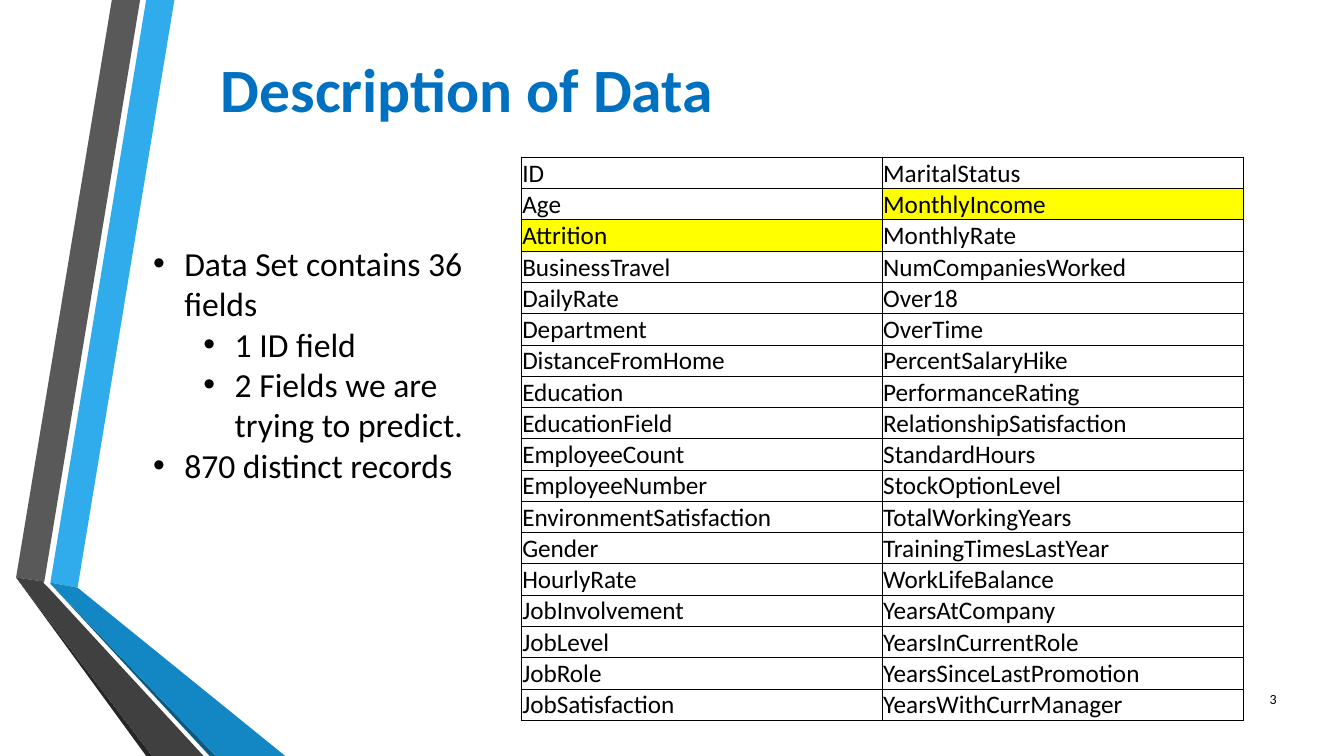
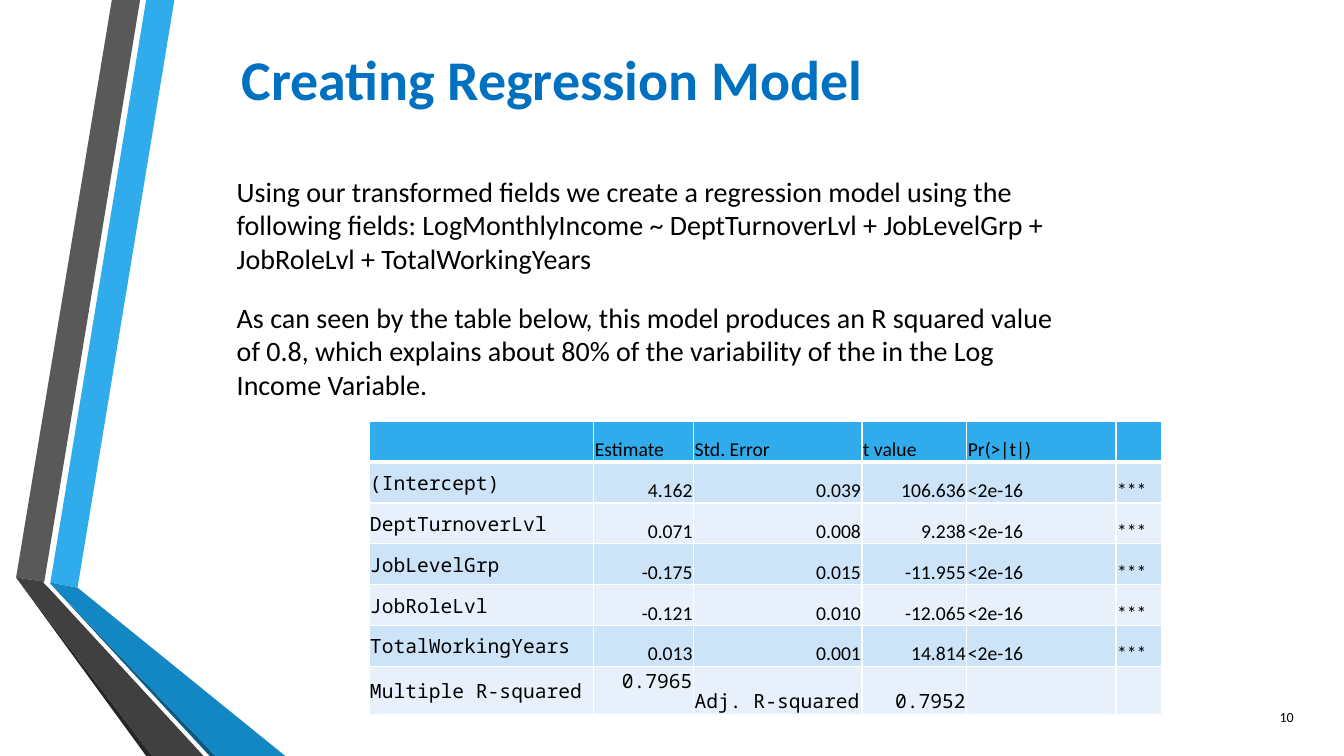
from pptx import Presentation
from pptx.dml.color import RGBColor
from pptx.enum.text import MSO_ANCHOR, PP_ALIGN
from pptx.oxml.ns import qn
from pptx.util import Inches, Pt
from lxml.etree import SubElement

BLACK = RGBColor(0x00, 0x00, 0x00)
WHITE = RGBColor(0xFF, 0xFF, 0xFF)
TITLE_BLUE = RGBColor(0x00, 0x70, 0xC0)
SKY = RGBColor(0x30, 0xAC, 0xEC)
MID_BLUE = RGBColor(0x12, 0x87, 0xC3)
DEEP_BLUE = RGBColor(0x0C, 0x5A, 0x82)
GRAY = RGBColor(0x59, 0x59, 0x59)
DARK_GRAY = RGBColor(0x40, 0x40, 0x40)
CHARCOAL = RGBColor(0x26, 0x26, 0x26)
YELLOW = RGBColor(0xFF, 0xFF, 0x00)
ROW_TINTS = (RGBColor(0xCD, 0xE3, 0xF8), RGBColor(0xE8, 0xF1, 0xFB))

SANS = "Calibri"
MONO = "Noto Sans Mono"

RIBBONS = [
    (SKY, [(0.5, 5.78), (0.77, 5.83), (1.73, 0), (1.45, 0)]),
    (GRAY, [(1.39, 0), (1.11, 0), (0.16, 5.73), (0.44, 5.77)]),
    (CHARCOAL, [(0.16, 5.73), (1.45, 7.5), (1.51, 7.5)]),
    (DEEP_BLUE, [(0.5, 5.79), (2.08, 7.5), (2.14, 7.5)]),
    (MID_BLUE, [(0.5, 5.79), (2.14, 7.5), (2.83, 7.5), (0.77, 5.83), (0.5, 5.78)]),
    (DARK_GRAY, [(2.02, 7.5), (0.48, 5.83), (0.43, 5.78), (0.44, 5.77),
                 (0.16, 5.73), (1.51, 7.5)]),
]

DATA_FIELDS = [
    ("ID", "MaritalStatus"),
    ("Age", "MonthlyIncome"),
    ("Attrition", "MonthlyRate"),
    ("BusinessTravel", "NumCompaniesWorked"),
    ("DailyRate", "Over18"),
    ("Department", "OverTime"),
    ("DistanceFromHome", "PercentSalaryHike"),
    ("Education", "PerformanceRating"),
    ("EducationField", "RelationshipSatisfaction"),
    ("EmployeeCount", "StandardHours"),
    ("EmployeeNumber", "StockOptionLevel"),
    ("EnvironmentSatisfaction", "TotalWorkingYears"),
    ("Gender", "TrainingTimesLastYear"),
    ("HourlyRate", "WorkLifeBalance"),
    ("JobInvolvement", "YearsAtCompany"),
    ("JobLevel", "YearsInCurrentRole"),
    ("JobRole", "YearsSinceLastPromotion"),
    ("JobSatisfaction", "YearsWithCurrManager"),
]
PREDICTED_FIELDS = ("Attrition", "MonthlyIncome")

DATA_SUMMARY = [
    ("Data Set contains 36 fields", 0),
    ("1 ID field", 1),
    ("2 Fields we are trying to predict.", 1),
    ("870 distinct records", 0),
]

MODEL_NOTES = [
    (1.68, "Using our transformed fields we create a regression model using the "
           "following fields: LogMonthlyIncome ~ DeptTurnoverLvl + JobLevelGrp + "
           "JobRoleLvl + TotalWorkingYears"),
    (2.93, "As can seen by the table below, this model produces an R squared value "
           "of 0.8, which explains about 80% of the variability of the in the Log "
           "Income Variable."),
]

COEFFICIENTS = [
    ("", "Estimate", "Std. Error", "t value", "Pr(>|t|)", ""),
    ("(Intercept)", "4.162", "0.039", "106.636", "<2e-16", "***"),
    ("DeptTurnoverLvl", "0.071", "0.008", "9.238", "<2e-16", "***"),
    ("JobLevelGrp", "-0.175", "0.015", "-11.955", "<2e-16", "***"),
    ("JobRoleLvl", "-0.121", "0.010", "-12.065", "<2e-16", "***"),
    ("TotalWorkingYears", "0.013", "0.001", "14.814", "<2e-16", "***"),
    ("Multiple R-squared", "0.7965", "Adj. R-squared", "0.7952", "", ""),
]
COEFFICIENT_WIDTHS = [2.23, 0.99, 1.67, 1.04, 1.48, 0.45]


def style_font(paragraph, size, color=BLACK, name=SANS, bold=False):
    font = paragraph.font
    font.size = Pt(size)
    font.name = name
    font.bold = bold
    font.color.rgb = color


def add_text(slide, box, text, size, color=BLACK, bold=False,
             align=PP_ALIGN.LEFT, anchor=MSO_ANCHOR.TOP):
    frame = slide.shapes.add_textbox(*map(Inches, box)).text_frame
    frame.word_wrap = True
    frame.vertical_anchor = anchor
    paragraph = frame.paragraphs[0]
    paragraph.text = text
    paragraph.alignment = align
    style_font(paragraph, size, color, bold=bold)


def add_bullets(slide, box, items, size):
    frame = slide.shapes.add_textbox(*map(Inches, box)).text_frame
    frame.word_wrap = True
    for index, (text, level) in enumerate(items):
        paragraph = frame.add_paragraph() if index else frame.paragraphs[0]
        paragraph.text = text
        paragraph.level = level
        style_font(paragraph, size)
        properties = paragraph._p.get_or_add_pPr()
        properties.set("marL", str(Inches(0.31 + 0.5 * level)))
        properties.set("indent", str(Inches(-0.31)))
        SubElement(properties, qn("a:buFont"), typeface="Arial")
        SubElement(properties, qn("a:buChar"), char="\u2022")


def add_ribbons(slide):
    ribbons = slide.shapes.add_group_shape().shapes
    for color, corners in RIBBONS:
        points = [(Inches(x), Inches(y)) for x, y in corners]
        builder = ribbons.build_freeform(*points[0])
        builder.add_line_segments(points[1:], close=True)
        ribbon = builder.convert_to_shape()
        ribbon.shadow.inherit = False
        ribbon.fill.solid()
        ribbon.fill.fore_color.rgb = color
        ribbon.line.fill.background()


def add_base_slide(deck, title, title_box, title_size, number, number_corner):
    slide = deck.slides.add_slide(deck.slide_layouts[6])
    add_ribbons(slide)
    add_text(slide, title_box, title, title_size, TITLE_BLUE, True,
             PP_ALIGN.CENTER, MSO_ANCHOR.MIDDLE)
    add_text(slide, (*number_corner, 0.84, 0.4), number, 10,
             align=PP_ALIGN.RIGHT, anchor=MSO_ANCHOR.MIDDLE)
    return slide


def add_grid(slide, corner, widths, heights):
    left, top = map(Inches, corner)
    table = slide.shapes.add_table(len(heights), len(widths), left, top,
                                   Inches(sum(widths)), sum(heights)).table
    table.first_row = False
    table.horz_banding = False
    for column, width in zip(table.columns, widths):
        column.width = Inches(width)
    for row, height in zip(table.rows, heights):
        row.height = height
    return table


def set_borders(cell, color, left, right, top, bottom):
    properties = cell._tc.get_or_add_tcPr()
    for side, width in zip("LRTB", (left, right, top, bottom)):
        border = SubElement(properties, qn(f"a:ln{side}"), w=str(Pt(width)))
        solid = SubElement(border, qn("a:solidFill"))
        SubElement(solid, qn("a:srgbClr"), val=str(color))


def fill_cell(cell, text, size, color=None, name=SANS,
              align=PP_ALIGN.LEFT, anchor=MSO_ANCHOR.BOTTOM):
    cell.margin_left = cell.margin_right = cell.margin_top = Inches(0.01)
    cell.margin_bottom = 0
    cell.vertical_anchor = anchor
    if color is None:
        cell.fill.background()
    else:
        cell.fill.solid()
        cell.fill.fore_color.rgb = color
    paragraph = cell.text_frame.paragraphs[0]
    paragraph.text = text
    paragraph.alignment = align
    style_font(paragraph, size, name=name)


def add_field_table(slide):
    last_row = len(DATA_FIELDS) - 1
    table = add_grid(slide, (5.17, 1.56), [3.58, 3.58],
                     [Inches(0.31)] * len(DATA_FIELDS))
    for r, fields in enumerate(DATA_FIELDS):
        for c, field in enumerate(fields):
            cell = table.cell(r, c)
            at_edges = (c == 0, c == 1, r == 0, r == last_row)
            set_borders(cell, BLACK, *(1 if edge else 0.5 for edge in at_edges))
            fill_cell(cell, field, 18, YELLOW if field in PREDICTED_FIELDS else None)


def add_coefficient_table(slide):
    last_row = len(COEFFICIENTS) - 1
    heights = [Inches(2.43) // last_row] * last_row + [Inches(0.48)]
    table = add_grid(slide, (3.66, 4.18), COEFFICIENT_WIDTHS, heights)
    for r, values in enumerate(COEFFICIENTS):
        for c, value in enumerate(values):
            cell = table.cell(r, c)
            set_borders(cell, WHITE, 1, 1, 3 if r == 1 else 1, 3 if r == 0 else 1)
            is_number = r > 0 and value.lstrip("-").replace(".", "").isdigit()
            anchor = MSO_ANCHOR.MIDDLE if c == 0 else MSO_ANCHOR.BOTTOM
            if (r, c) == (last_row, 1):
                anchor = MSO_ANCHOR.TOP
            fill_cell(cell, value, 14,
                      color=ROW_TINTS[(r - 1) % 2] if r else SKY,
                      name=MONO if c == 0 or r == last_row else SANS,
                      align=PP_ALIGN.RIGHT if is_number else PP_ALIGN.LEFT,
                      anchor=anchor)


def main():
    deck = Presentation()
    deck.slide_width = Inches(13.33)
    deck.slide_height = Inches(7.5)

    data_slide = add_base_slide(deck, "Description of Data", (-1.03, 0, 11.33, 1.75),
                                44, "3", (11.92, 6.73))
    add_field_table(data_slide)
    add_bullets(data_slide, (1.42, 2.36, 3.46, 2.83), DATA_SUMMARY, 24)

    model_slide = add_base_slide(deck, "Creating Regression Model",
                                 (1.75, 0.38, 7.45, 0.79), 40, "10", (12.09, 6.91))
    for top, note in MODEL_NOTES:
        add_text(model_slide, (2.25, top, 8.57, 1.41), note, 20)
    add_coefficient_table(model_slide)

    deck.save("out.pptx")


main()
